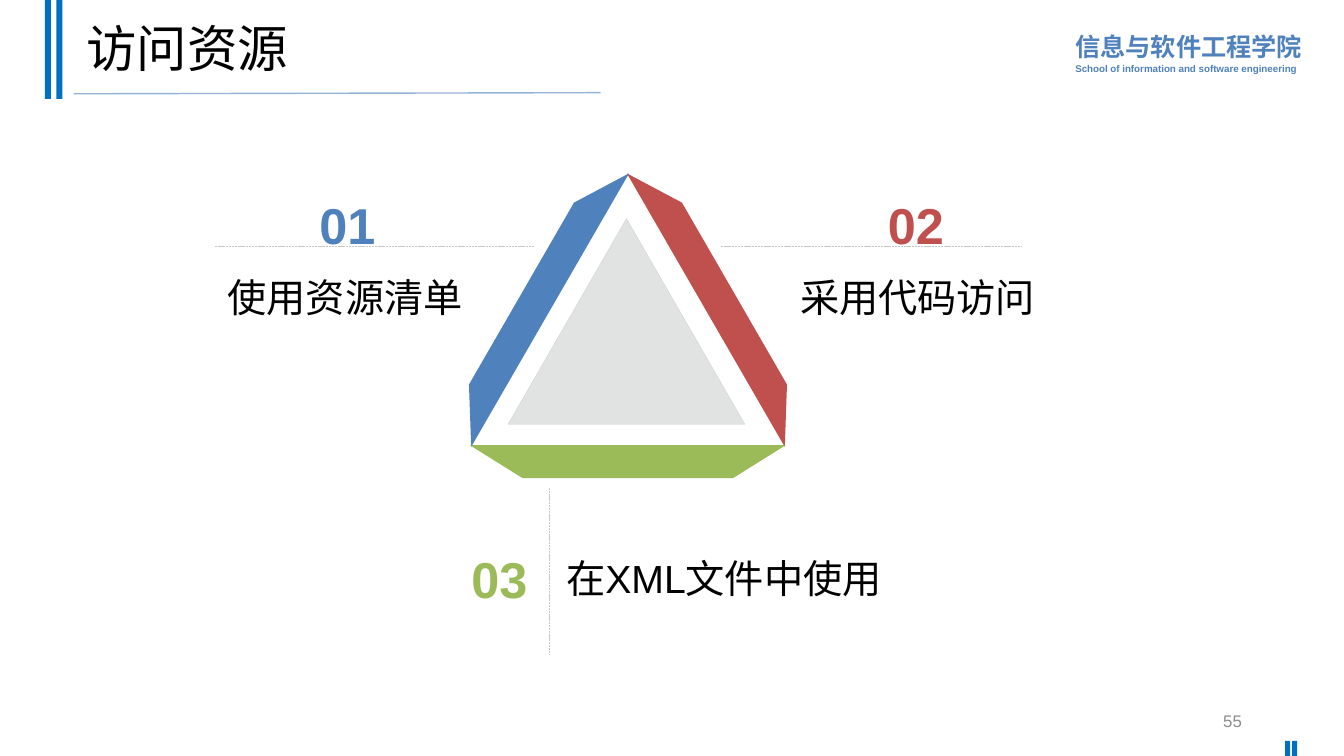
from pptx import Presentation
from pptx.dml.color import RGBColor
from pptx.enum.dml import MSO_LINE as Dash
from pptx.enum.shapes import MSO_CONNECTOR as Link, MSO_SHAPE as Kind
from pptx.enum.text import MSO_ANCHOR as Anchor, MSO_AUTO_SIZE as Fit, PP_ALIGN as Align
from pptx.oxml.ns import qn
from pptx.util import Pt
from lxml import etree

FONT = "Arial"
COLORS = {
    "bar": "0070C0", "rule": "95B3D7", "blue": "4F81BD", "red": "C0504D",
    "green": "9BBB59", "core": "E1E3E3", "edge": "D0D2D2", "dash": "C6C8C8",
    "black": "000000", "gray": "8C8C8C",
}


def color(name):
    return RGBColor.from_string(COLORS[name])


def add_text(slide, box, lines, tint, bold=False, align=Align.LEFT,
             gap=1.0, middle=False):
    frame = slide.shapes.add_textbox(*map(Pt, box)).text_frame
    frame.word_wrap = True
    frame.auto_size = Fit.NONE if middle else Fit.SHAPE_TO_FIT_TEXT
    frame.vertical_anchor = Anchor.MIDDLE if middle else Anchor.TOP
    for index, (text, size) in enumerate(lines):
        para = frame.add_paragraph() if index else frame.paragraphs[0]
        para.text = text
        para.alignment = align
        para.line_spacing = gap
        font = para.font
        font.name, font.size, font.bold = FONT, Pt(size), bold
        font.color.rgb = color(tint)


def add_block(slide, kind, box, fill, edge=None):
    shape = slide.shapes.add_shape(kind, *map(Pt, box))
    shape.shadow.inherit = False
    shape.fill.solid()
    shape.fill.fore_color.rgb = color(fill)
    if edge:
        shape.line.color.rgb = color(edge)
        shape.line.width = Pt(0.25)
    else:
        shape.line.fill.background()
    return shape


def add_side(slide, center, angle, fill):
    wide, high = 225.6, 23.6
    x, y = center
    box = (x - wide / 2, y - high / 2, wide, high)
    side = add_block(slide, Kind.TRAPEZOID, box, fill)
    side.adjustments[0] = 1.6
    side.rotation = angle


def add_line(slide, ends, tint, width, dash=None):
    line = slide.shapes.add_connector(Link.STRAIGHT, *map(Pt, ends))
    line.line.color.rgb = color(tint)
    line.line.width = Pt(width)
    if dash:
        line.line.dash_style = dash
    etree.SubElement(line._element.spPr, qn("a:effectLst"))


def add_frame(slide):
    add_text(slide, (761, 16.6, 176.4, 40.3),
             [("信息与软件工程学院", 18),
              ("School of information and software engineering", 7)],
             "blue", bold=True, gap=1.1)
    for left, top, wide, high in [(32, 0, 4.3, 70.6), (40.3, 0, 4.3, 70.6),
                                  (918, 529.2, 3.6, 10.8), (923, 529.2, 3.6, 10.8)]:
        add_block(slide, Kind.RECTANGLE, (left, top, wide, high), "bar")
    add_line(slide, (52.6, 67, 429, 66.2), "rule", 1)
    add_text(slide, (54.7, 5, 828, 63.4), [("访问资源", 36)], "black",
             gap=0.9, middle=True)
    add_text(slide, (678.2, 500.4, 216, 28.8), [("55", 12)], "gray",
             align=Align.RIGHT, middle=True)


def add_prism(slide):
    for center, angle, fill in [((514.4, 215.6), 60, "red"),
                                ((382.7, 215.6), 300, "blue"),
                                ((448.4, 329.8), 180, "green")]:
        add_side(slide, center, angle, fill)
    add_block(slide, Kind.ISOSCELES_TRIANGLE, (362.9, 156.2, 169.2, 146.9),
              "core", "edge")


def add_labels(slide):
    items = [
        ("01", "blue", (219, 131), "使用资源清单", (155.5, 181.4, 187.2, 51), Align.LEFT),
        ("02", "red", (625, 131), "采用代码访问", (552.2, 181.4, 206.6, 51), Align.CENTER),
        ("03", "green", (327.6, 383.8), "在XML文件中使用", (397.4, 382.3, 275.8, 51), Align.LEFT),
    ]
    for ends in [(514.8, 176.2, 729.4, 176.2), (153.4, 176.2, 381.6, 176.2),
                 (392.4, 348.5, 392.4, 468)]:
        add_line(slide, ends, "dash", 0.5, Dash.SQUARE_DOT)
    for number, tint, spot, text, box, align in items:
        add_text(slide, box, [(text, 28)], "black", align=align, gap=1.3)
        add_text(slide, (*spot, 58.3, 51.8), [(number, 36)], tint, bold=True,
                 align=Align.CENTER, gap=1.1)


def main():
    deck = Presentation()
    deck.slide_width, deck.slide_height = Pt(960), Pt(540)
    slide = deck.slides.add_slide(deck.slide_layouts[6])
    add_frame(slide)
    add_prism(slide)
    add_labels(slide)
    deck.save("out.pptx")


if __name__ == "__main__":
    main()
